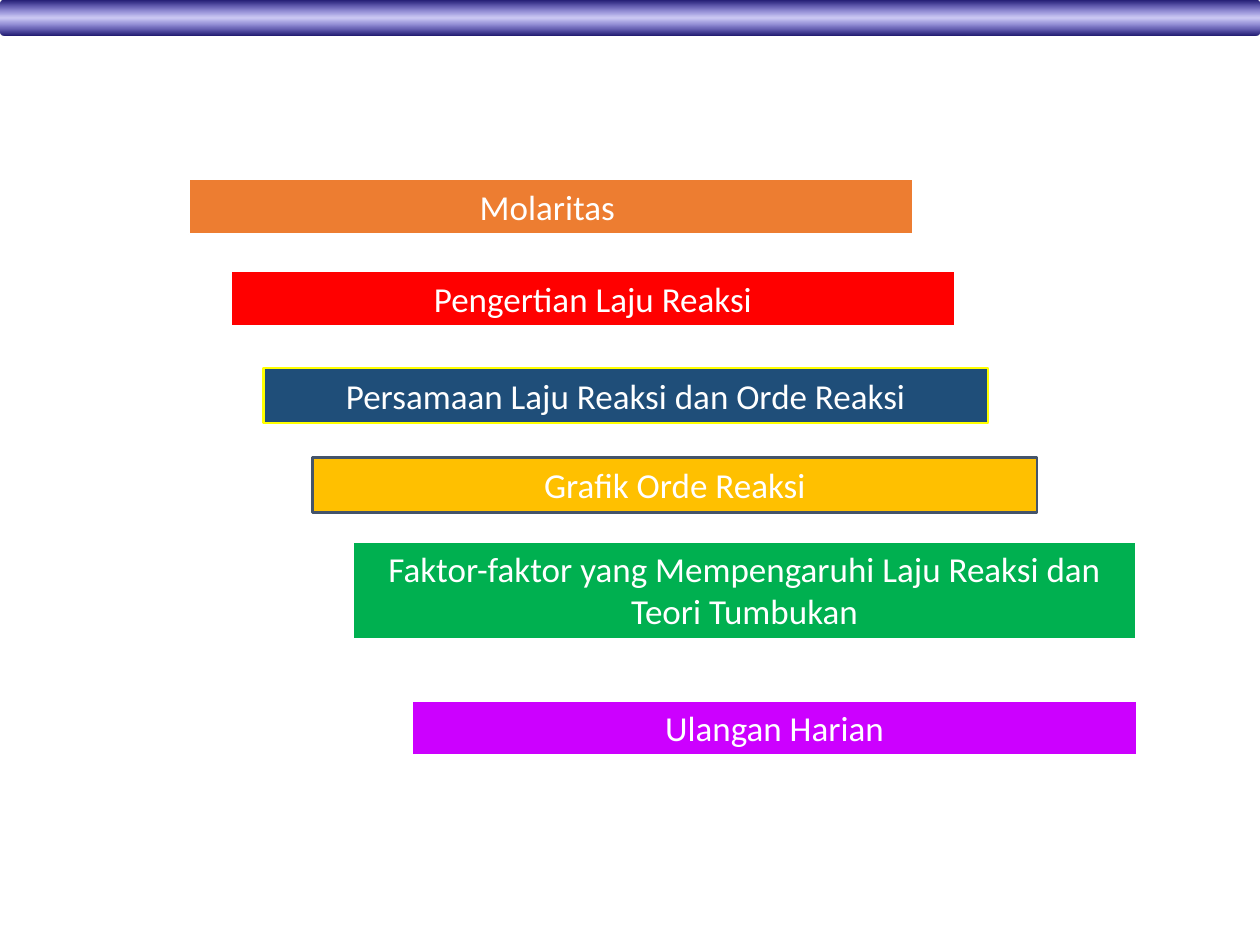
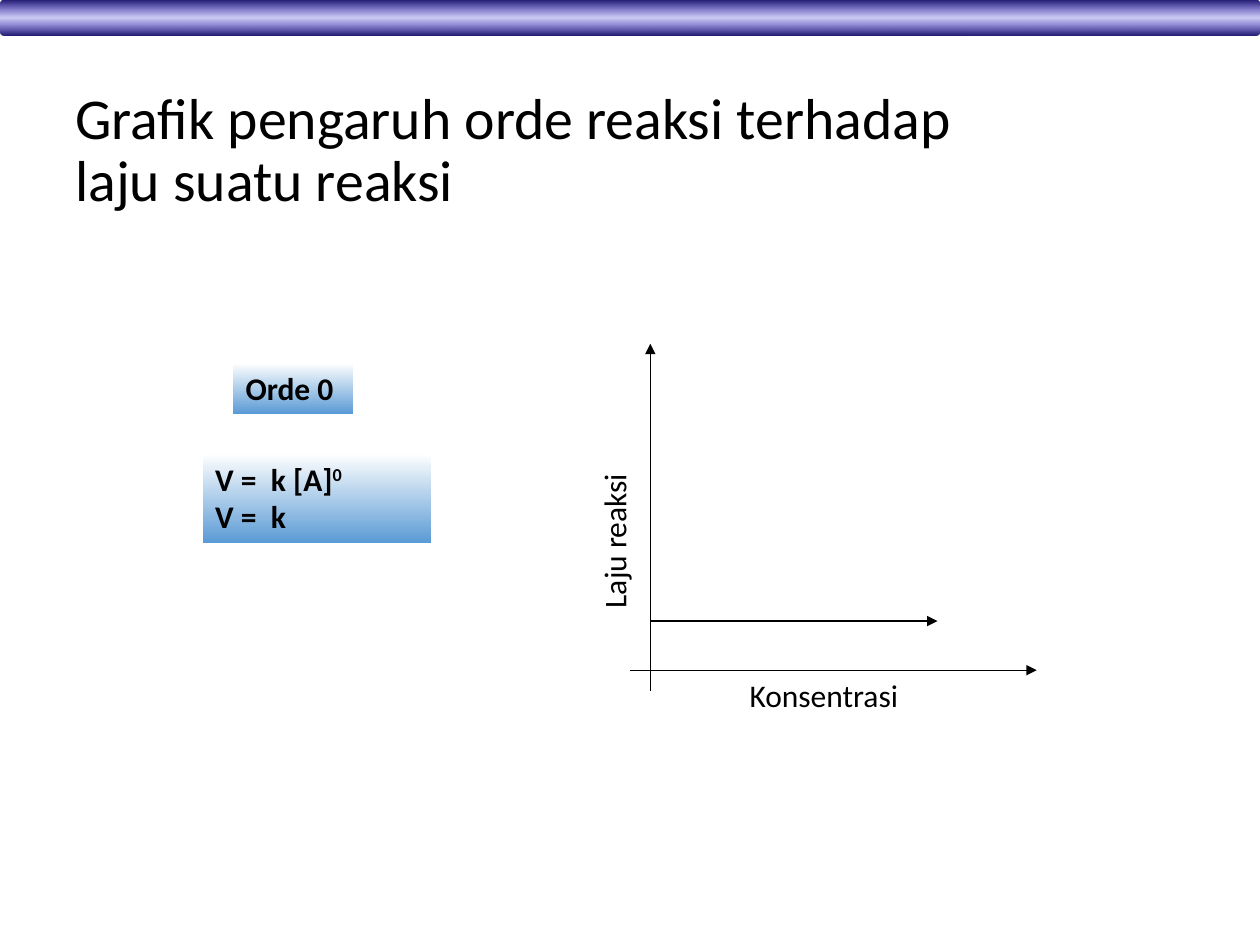
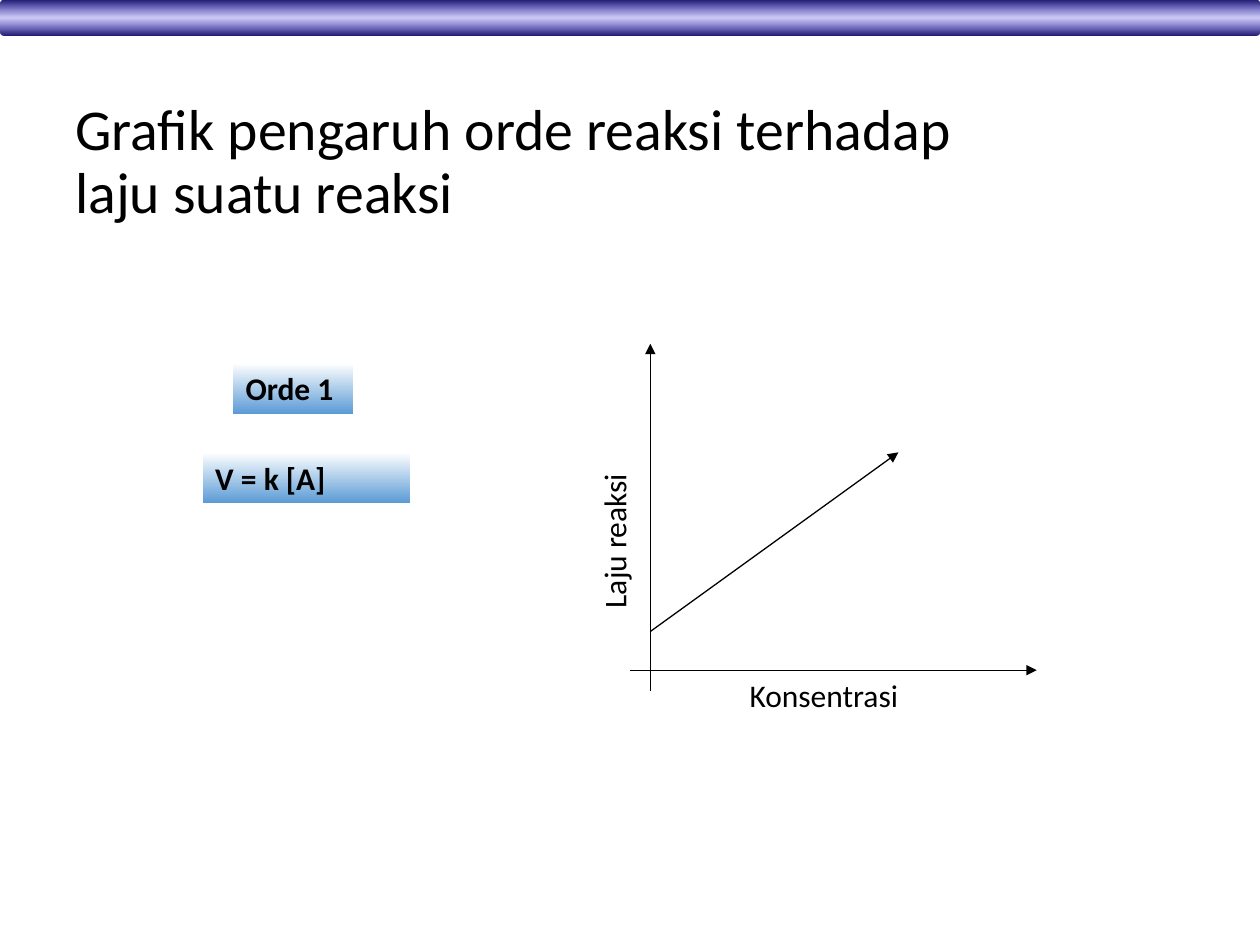
from lxml.etree import SubElement
from pptx import Presentation
from pptx.dml.color import RGBColor
from pptx.enum.shapes import MSO_CONNECTOR as Connector, MSO_SHAPE as Shape
from pptx.enum.text import MSO_ANCHOR as Anchor, MSO_AUTO_SIZE as AutoSize, PP_ALIGN as Align
from pptx.oxml.ns import qn
from pptx.util import Cm, Pt

BLACK, WHITE = "000000", "FFFFFF"
BAND_STOPS = [(0, "1D176C", 100), (50, "382CD0", 25), (100, "1D176C", 100)]
PANEL_STOPS = [(0, WHITE, 100), (100, "5B9BD5", 100)]
TITLE = "Grafik pengaruh orde reaksi terhadap laju suatu reaksi"
STEP_WIDTH, STEP_HEIGHT = 14.61, 1.11
ORIGIN_X = 13.11

TOPICS = [
    ("Molaritas ", 3.81, 3.61, STEP_WIDTH, STEP_HEIGHT, "ED7D31", WHITE),
    ("Pengertian Laju Reaksi", 4.65, 5.46, STEP_WIDTH, STEP_HEIGHT, "FF0000", WHITE),
    ("Persamaan Laju Reaksi dan Orde Reaksi", 5.31, 7.42, STEP_WIDTH, STEP_HEIGHT,
     "1F4E79", "FFFF00"),
    ("Grafik Orde Reaksi", 6.3, 9.22, STEP_WIDTH, STEP_HEIGHT, "FFC000", "44546A"),
    ("Faktor-faktor yang Mempengaruhi Laju Reaksi dan Teori Tumbukan",
     7.11, 10.92, 15.8, 1.96, "00B050", WHITE),
    ("Ulangan Harian", 8.31, 14.12, STEP_WIDTH, STEP_HEIGHT, "CC00FF", WHITE),
]

ORDERS = [
    {"name": "Orde 0", "title_top": 1.47, "law": [["V =  k [A]", "0"], ["V =  k"]],
     "law_box": (4.09, 9.14, 4.6, 1.8), "curve": (ORIGIN_X, 12.52, 18.9, 12.52)},
    {"name": "Orde 1", "title_top": 1.7, "law": [["V = k [A]"]],
     "law_box": (4.09, 9.12, 4.17, 1.02), "curve": (ORIGIN_X, 12.73, 18.11, 9.12)},
]


def rgb(value):
    """Turn a hex string into a colour."""
    return RGBColor.from_string(value)


def apply(target, values):
    """Set each attribute of the target from a dict."""
    for name, value in values.items():
        setattr(target, name, value)


class Deck:
    """Hold the shared style and the current slide."""

    font = "Calibri"

    def __init__(self):
        """Start an empty 4:3 presentation."""
        self.show = Presentation()
        apply(self.show, {"slide_width": Cm(25.4), "slide_height": Cm(19.05)})

    def new_slide(self):
        """Add a blank slide with the top band."""
        self.slide = self.show.slides.add_slide(self.show.slide_layouts[6])
        band = self.block(Shape.FLOWCHART_ALTERNATE_PROCESS, 0, 0, 25.4, 0.71)
        self.gradient(band, BAND_STOPS)

    def block(self, kind, *box):
        """Add a preset shape without line or shadow."""
        block = self.slide.shapes.add_shape(kind, *map(Cm, box))
        block.shadow.inherit = False
        block.line.fill.background()
        return block

    def gradient(self, block, stops):
        """Fill a shape from top to bottom with (position, colour, opacity) stops."""
        block.fill.gradient()
        block.fill.gradient_angle = 270
        stop_list = next(block.element.iter(qn("a:gsLst")))
        stop_list.clear()
        for position, colour, opacity in stops:
            stop = SubElement(stop_list, qn("a:gs"), pos=str(position * 1000))
            tone = SubElement(stop, qn("a:srgbClr"), val=colour)
            if opacity < 100:
                SubElement(tone, qn("a:alpha"), val=str(opacity * 1000))

    def add_text(self, holder, lines, size, colour=BLACK, bold=False, wrap=True,
                 frame_format=None, line_format=None):
        """Fill a holder with lines of runs, where a second run is a superscript."""
        frame = holder.text_frame
        apply(frame, {"word_wrap": wrap, "vertical_anchor": Anchor.TOP,
                      "auto_size": AutoSize.SHAPE_TO_FIT_TEXT, **(frame_format or {})})
        for index, pieces in enumerate(lines):
            line = frame.add_paragraph() if index else frame.paragraphs[0]
            apply(line, {"alignment": Align.LEFT, **(line_format or {})})
            for place, piece in enumerate(pieces):
                run = line.add_run()
                run.text = piece
                apply(run.font, {"name": self.font, "size": Pt(size), "bold": bold})
                run.font.color.rgb = rgb(colour)
                if place:
                    run._r.get_or_add_rPr().set("baseline", "30000")

    def title(self, text, top):
        """Add the slide title."""
        heading = self.slide.shapes.add_textbox(*map(Cm, (1.27, top, 20.12, 3.18)))
        self.add_text(heading, [[text]], 33, line_format={"line_spacing": 0.9},
                      frame_format={"auto_size": AutoSize.NONE,
                                    "vertical_anchor": Anchor.MIDDLE})

    def topic(self, text, left, top, width, height, fill, border):
        """Add one coloured step of the topic list."""
        step = self.block(Shape.RECTANGLE, left, top, width, height)
        step.fill.solid()
        step.fill.fore_color.rgb = rgb(fill)
        step.line.color.rgb = rgb(border)
        step.line.width = Pt(1.5)
        self.add_text(step, [[text]], 20, WHITE, line_format={"alignment": Align.CENTER})

    def panel(self, lines, box, wrap=True):
        """Add a gradient panel with bold text."""
        panel = self.block(Shape.RECTANGLE, *box)
        self.gradient(panel, PANEL_STOPS)
        self.add_text(panel, lines, 18, bold=True, wrap=wrap)

    def axis_label(self, text, box, rotation=0):
        """Add an axis label."""
        label = self.slide.shapes.add_textbox(*map(Cm, box))
        label.rotation = rotation
        self.add_text(label, [[text]], 18, wrap=False)

    def arrow(self, *ends):
        """Add a thin arrow from the first point to the second."""
        arrow = self.slide.shapes.add_connector(Connector.STRAIGHT, *map(Cm, ends))
        arrow.line.color.rgb = rgb(BLACK)
        arrow.line.width = Pt(0.75)
        properties = arrow.element.spPr
        SubElement(properties.find(qn("a:ln")), qn("a:tailEnd"), type="triangle")
        SubElement(properties, qn("a:effectLst"))

    def axes(self):
        """Draw the rate and concentration axes with labels."""
        self.arrow(ORIGIN_X, 13.92, ORIGIN_X, 6.93)
        self.arrow(12.7, 13.51, 20.9, 13.51)
        self.axis_label("Konsentrasi", (14.86, 13.51, 3.86, 1.02))
        self.axis_label("Laju reaksi", (10.59, 10.21, 3.58, 1.02), 270)


def main():
    """Build the topic list and one graph slide for each order."""
    deck = Deck()
    deck.new_slide()
    for topic in TOPICS:
        deck.topic(*topic)
    for order in ORDERS:
        deck.new_slide()
        deck.title(TITLE, order["title_top"])
        deck.axes()
        deck.arrow(*order["curve"])
        deck.panel([[order["name"]]], (4.7, 7.32, 2.41, 1.02), wrap=False)
        deck.panel(order["law"], order["law_box"])
    deck.show.save("out.pptx")


if __name__ == "__main__":
    main()
